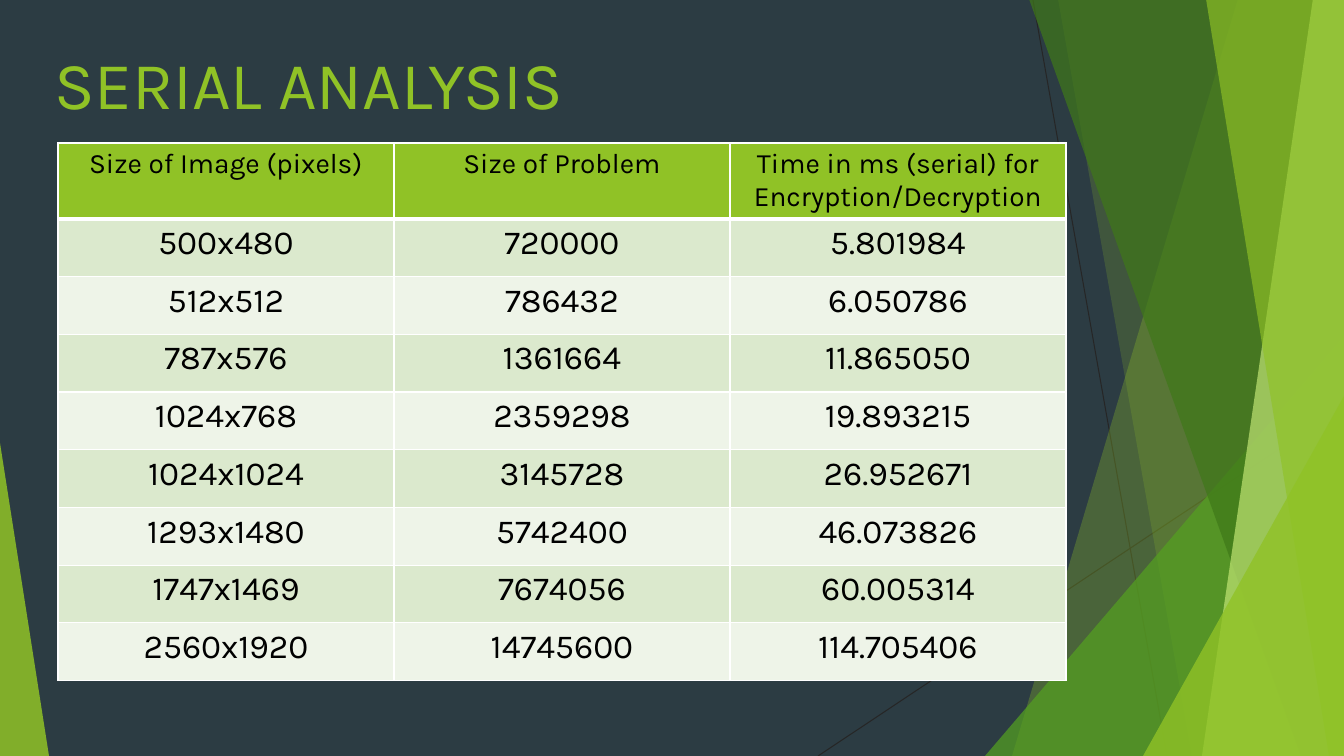
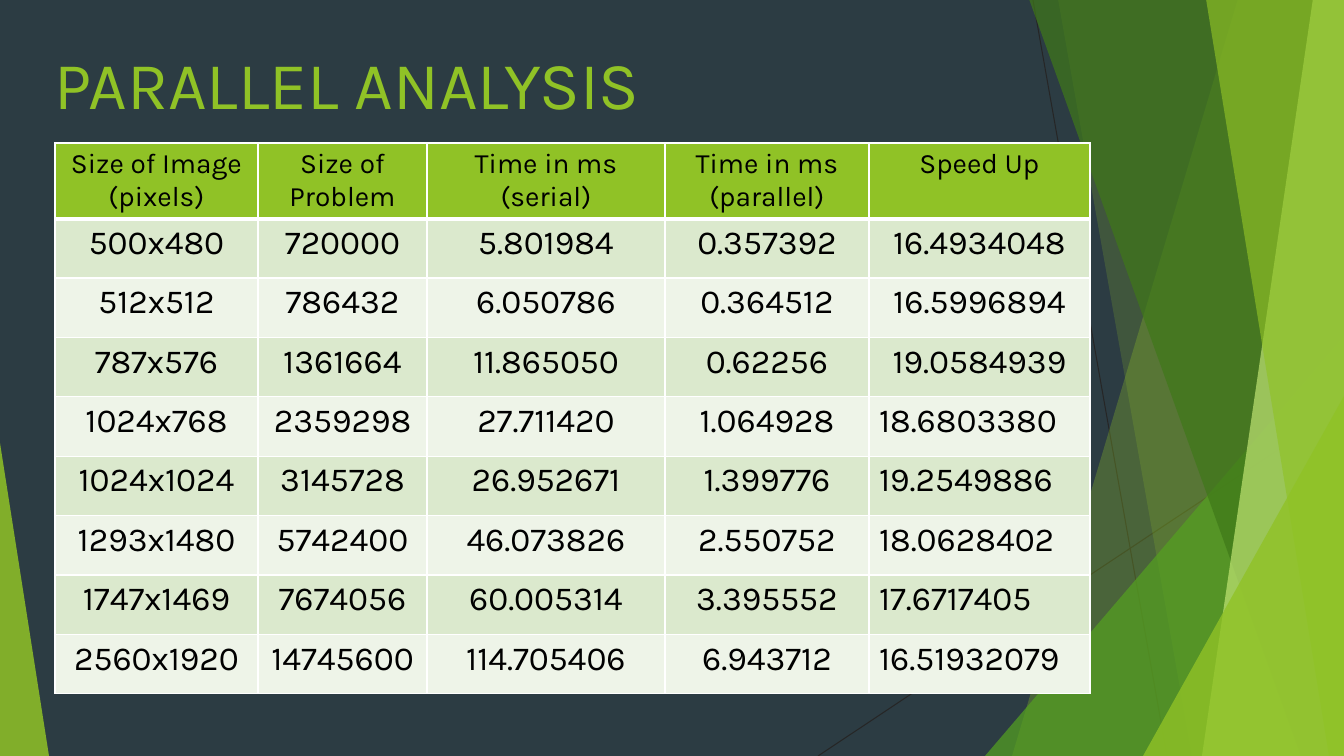
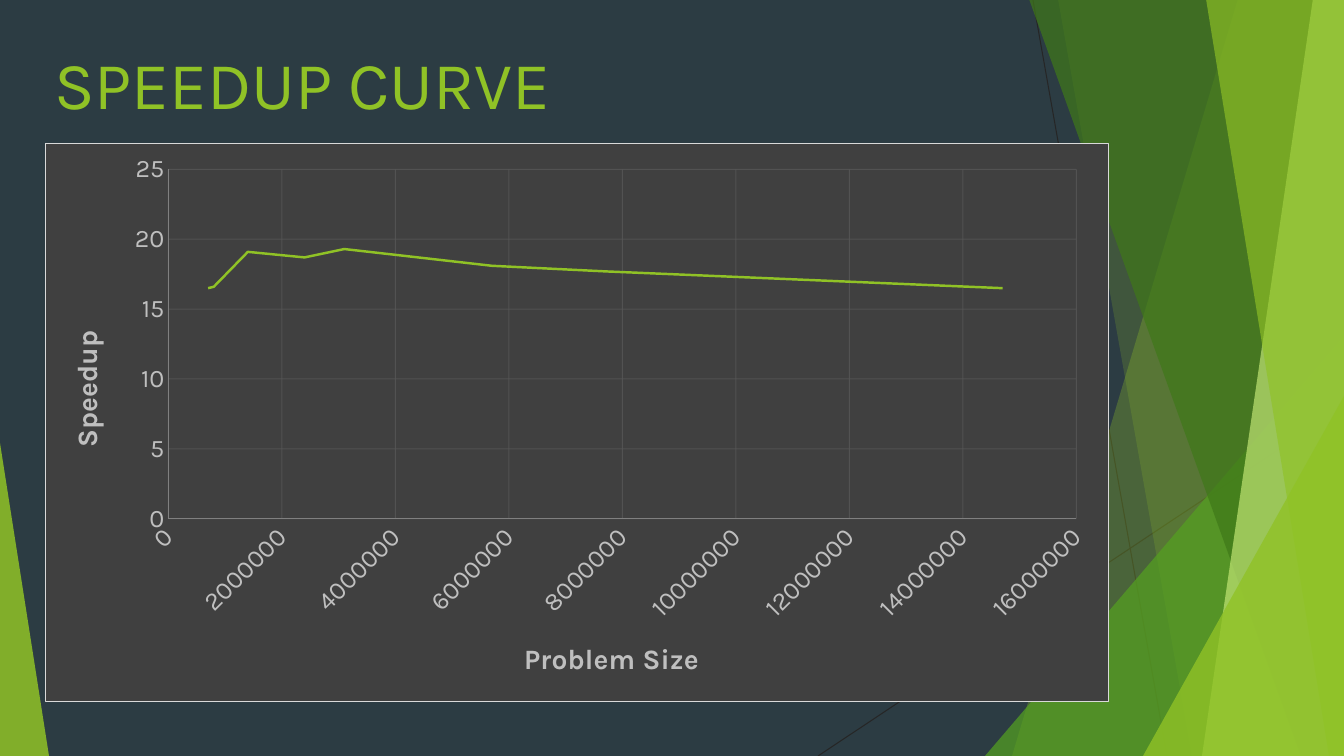
from lxml import etree
from pptx import Presentation
from pptx import util as u
from pptx.chart import data
from pptx.dml import color
from pptx.enum import chart as charts, shapes, text
from pptx.oxml import ns, parse_xml

PX = 9071
W, H = 1344, 756
GREEN, WHITE, GREY = "90C226", "FFFFFF", "BFBFBF"


def rgb(value):
    return color.RGBColor.from_string(value)


def style(font, size, value, bold=False):
    for key, val in {"name": "Karla", "size": u.Pt(size), "bold": bold}.items():
        setattr(font, key, val)
    font.color.rgb = rgb(value)


prs = Presentation()
prs.slide_width, prs.slide_height = W * PX, H * PX
layout = prs.slide_layouts[5]
layout.background.fill.solid()
layout.background.fill.fore_color.rgb = rgb("2C3C43")
for ph in list(layout.placeholders):
    if ph.placeholder_format.idx:
        layout.shapes.element.remove(ph.element)

slides = []
for title in ("SERIAL ANALYSIS", "PARALLEL ANALYSIS", "SPEEDUP CURVE"):
    s = prs.slides.add_slide(layout)
    slides.append(s)
    sp = s.shapes.title
    for key, val in {"left": 44, "top": 37, "width": 948, "height": 106}.items():
        setattr(sp, key, val * PX)
    tf = sp.text_frame
    for key, val in {"word_wrap": True, "auto_size": text.MSO_AUTO_SIZE.NONE,
                     "vertical_anchor": text.MSO_ANCHOR.MIDDLE,
                     "margin_bottom": 19 * PX}.items():
        setattr(tf, key, val)
    p = tf.paragraphs[0]
    p.alignment = text.PP_ALIGN.LEFT
    r = p.add_run()
    r.text = title
    style(r.font, 48, GREEN)

facets = slides[0].shapes.add_group_shape()
for x1, y1, x2, y2 in ((1033, 0, 1167, H), (W, 406, 818, H)):
    sp = facets.shapes.add_connector(
        shapes.MSO_CONNECTOR.STRAIGHT, x1 * PX, y1 * PX, x2 * PX, y2 * PX)
    sp.line.color.rgb = rgb("262626")
    sp.line.width = u.Pt(0.75)
    etree.SubElement(sp.element.spPr, ns.qn("a:effectLst"))

for kind, outline, fill, opacity in (
    ("band", (1238, 1012), GREEN, 30),
    ("band", (1058, 1192), GREEN, 20),
    ("triangle", (985, 336, 359, 1), "54A021", 72),
    ("band", (1029, 1301), "3F7819", 70),
    ("band", (1313, 1202), "C0E474", 70),
    ("band", (1206, 1329), GREEN, 65),
    ("triangle", (1143, 396, 201, 1), GREEN, 80),
    ("triangle", (0, 443, 49, 0), GREEN, 85),
):
    if kind == "band":
        top_x, bottom_x = outline
        fb = facets.shapes.build_freeform(top_x, -1, scale=PX)
        fb.add_line_segments([(W, -1), (W, H), (bottom_x, H)])
        sp = fb.convert_to_shape()
    else:
        x, y, width, apex = outline
        sp = facets.shapes.add_shape(
            shapes.MSO_SHAPE.ISOSCELES_TRIANGLE, x * PX, y * PX, width * PX, (H - y) * PX)
        sp.adjustments[0] = apex
    sp.shadow.inherit = False
    sp.line.fill.background()
    sp.fill.solid()
    sp.fill.fore_color.rgb = rgb(fill)
    clr = sp.element.xpath("./p:spPr/a:solidFill/a:srgbClr")[0]
    etree.SubElement(clr, ns.qn("a:alpha"), val=str(opacity * 1000))
layout.shapes.element.insert(2, facets.element)

sizes = "500x480 512x512 787x576 1024x768 1024x1024 1293x1480 1747x1469 2560x1920".split()
problems = "720000 786432 1361664 2359298 3145728 5742400 7674056 14745600".split()
serial = ("5.801984 6.050786 11.865050 19.893215 "
          "26.952671 46.073826 60.005314 114.705406").split()
rerun = serial[:3] + ["27.711420"] + serial[4:]
parallel = "0.357392 0.364512 0.62256 1.064928 1.399776 2.550752 3.395552 6.943712".split()
speedups = ("16.4934048 16.5996894 19.0584939 18.6803380 "
            "19.2549886 18.0628402 17.6717405 16.51932079").split()

for s, left, widths, body, head, columns in (
    (slides[0], 58, (336, 336, 336), 462,
     ("Size of Image (pixels)", "Size of Problem",
      "Time in ms (serial) for Encryption/Decryption"),
     (sizes, problems, serial)),
    (slides[1], 55, (203, 169, 238, 204, 221), 475,
     ("Size of Image (pixels)", "Size of Problem", "Time in ms (serial)",
      "Time in ms (parallel)", "Speed Up"),
     (sizes, problems, rerun, parallel, speedups)),
):
    rows = [head, *zip(*columns)]
    gf = s.shapes.add_table(len(rows), len(head), left * PX, 143 * PX,
                            sum(widths) * PX, (75 + body) * PX)
    table = gf.table
    for col, width in zip(table.columns, widths):
        col.width = width * PX
    for i, row in enumerate(table.rows):
        row.height = body * PX // len(sizes) if i else 75 * PX
    for n, (cell, tc) in enumerate(zip(table.iter_cells(), gf.element.xpath(".//a:tc"))):
        i, j = divmod(n, len(head))
        for side in "LRTB":
            thick = (i, side) in ((0, "B"), (1, "T"))
            ln = etree.SubElement(tc.get_or_add_tcPr(), ns.qn("a:ln" + side),
                                  w=str(u.Pt(3 if thick else 1)))
            line_fill = etree.SubElement(ln, ns.qn("a:solidFill"))
            etree.SubElement(line_fill, ns.qn("a:srgbClr"), val=WHITE)
        cell.fill.solid()
        cell.fill.fore_color.rgb = rgb(GREEN if i == 0 else "DBE9CD" if i % 2 else "EEF4E8")
        p = cell.text_frame.paragraphs[0]
        p.alignment = text.PP_ALIGN.LEFT if j == 4 and i > 3 else text.PP_ALIGN.CENTER
        r = p.add_run()
        r.text = rows[i][j]
        style(r.font, 24 if i else 20, "000000")

CW, CH = 1064, 559
cd = data.XyChartData()
series = cd.add_series("Series 1")
for x, y in ((700000, 16.5), (800000, 16.6), (1400000, 19.1), (2400000, 18.7),
             (3100000, 19.3), (5700000, 18.1), (7700000, 17.7), (14700000, 16.5)):
    series.add_data_point(x, y)
chart = slides[2].shapes.add_chart(
    charts.XL_CHART_TYPE.XY_SCATTER_LINES_NO_MARKERS,
    45 * PX, 143 * PX, CW * PX, CH * PX, cd).chart
chart.has_title = chart.has_legend = False
style(chart.font, 10, WHITE)
chart.plots[0].vary_by_categories = False
curve = chart.plots[0].series[0]
curve.smooth = False
curve.format.line.color.rgb = rgb(GREEN)
curve.format.line.width = u.Pt(1.75)

root = chart.element
root.find(ns.qn("c:chart")).addnext(parse_xml(
    f'<c:spPr {ns.nsdecls("c", "a")}>'
    '<a:solidFill><a:srgbClr val="404040"/></a:solidFill>'
    f'<a:ln w="{u.Pt(0.75)}"><a:solidFill><a:srgbClr val="D9D9D9"/></a:solidFill></a:ln>'
    '</c:spPr>'))

places = [(root.xpath(".//c:plotArea")[0], 0, {"x": 123, "y": 26, "w": 909, "h": 350})]
for axis, caption, turn, place in (
    (chart.category_axis, "Problem Size", 0, {"x": 474, "y": 492}),
    (chart.value_axis, "Speedup", -5400000, {"x": 17, "y": 182}),
):
    for key, val in {"minimum_scale": 0, "has_major_gridlines": True,
                     "major_tick_mark": charts.XL_TICK_MARK.NONE,
                     "minor_tick_mark": charts.XL_TICK_MARK.NONE}.items():
        setattr(axis, key, val)
    for line, value in ((axis.format.line, "808080"),
                        (axis.major_gridlines.format.line, "595959")):
        line.color.rgb = rgb(value)
        line.width = u.Pt(0.75)
    style(axis.tick_labels.font, 18, GREY)
    axis.tick_labels.number_format = "General"
    axis.tick_labels.number_format_is_linked = False
    p = axis.axis_title.text_frame.paragraphs[0]
    r = p.add_run()
    r.text = caption
    style(r.font, 20, GREY, True)
    node = axis.axis_title.element
    node.xpath(".//a:bodyPr")[0].set("rot", str(turn))
    places.append((node, 1, place))

for node, index, place in places:
    for old in node.findall(ns.qn("c:layout")):
        node.remove(old)
    box = etree.Element(ns.qn("c:layout"))
    manual = etree.SubElement(box, ns.qn("c:manualLayout"))
    if "w" in place:
        etree.SubElement(manual, ns.qn("c:layoutTarget"), val="inner")
    for key in ("xMode", "yMode"):
        etree.SubElement(manual, ns.qn("c:" + key), val="edge")
    for key, val in place.items():
        share = val / (CW if key in "xw" else CH)
        etree.SubElement(manual, ns.qn("c:" + key), val=str(share))
    node.insert(index, box)

root.xpath(".//c:valAx/c:txPr/a:bodyPr")[0].set("rot", "-2700000")
for clr in root.xpath(".//c:majorGridlines//a:srgbClr"):
    etree.SubElement(clr, ns.qn("a:alpha"), val="75000")

prs.save("out.pptx")
